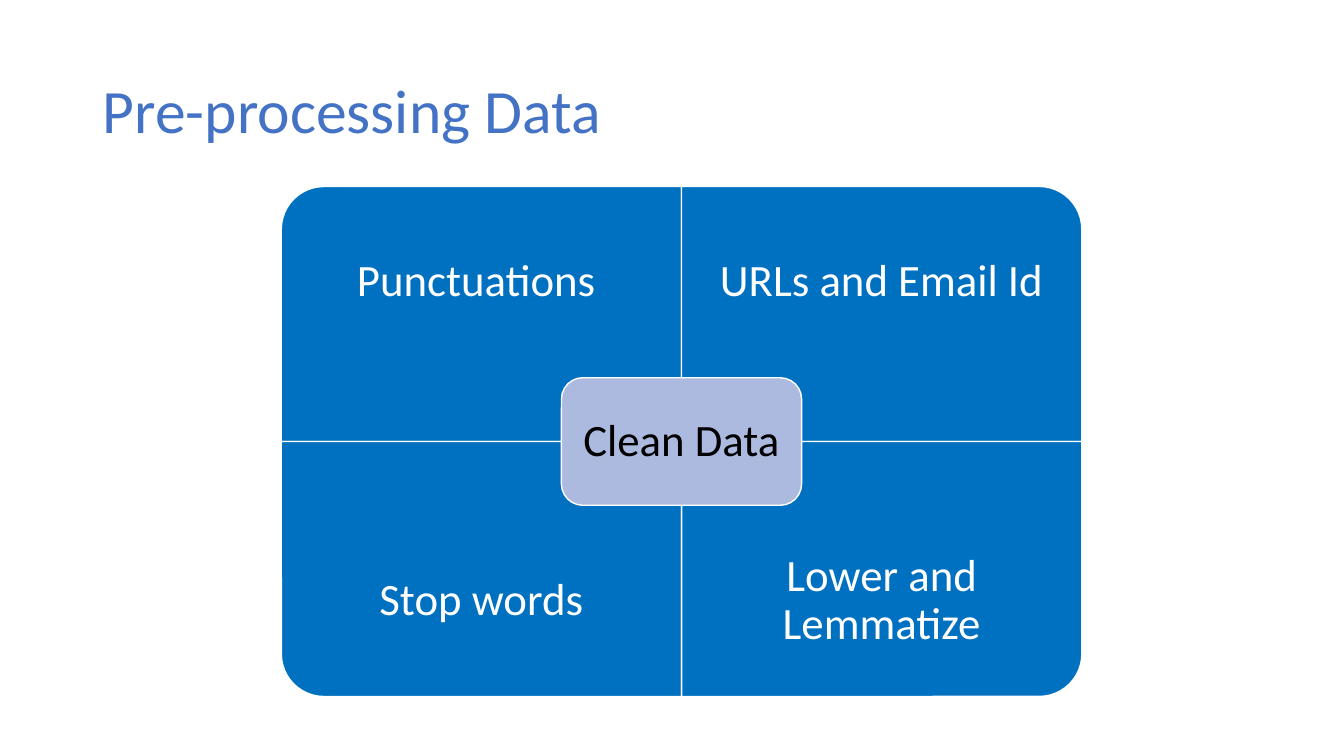
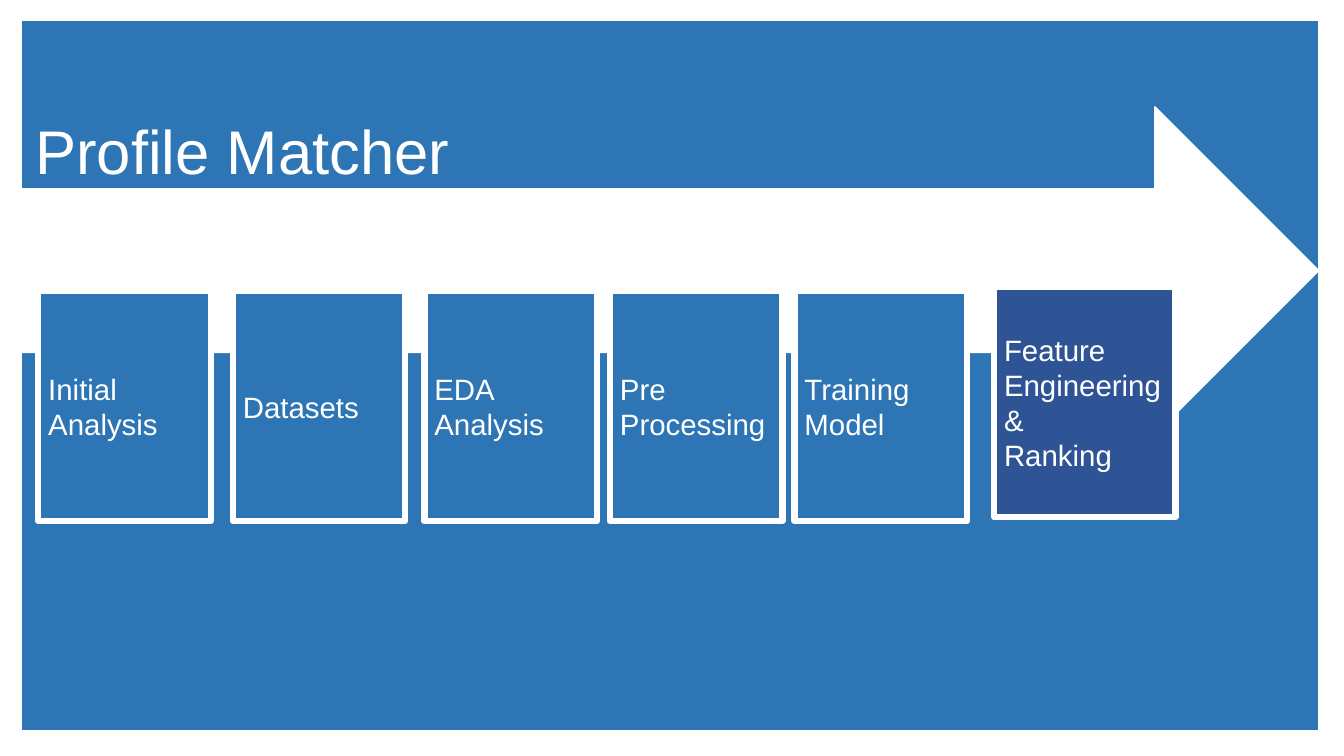
from collections import namedtuple

from pptx import Presentation
from pptx.dml.color import RGBColor
from pptx.enum.shapes import MSO_SHAPE
from pptx.enum.text import MSO_ANCHOR, MSO_AUTO_SIZE, PP_ALIGN
from pptx.util import Inches, Pt

RECT = MSO_SHAPE.RECTANGLE
ROUNDED = MSO_SHAPE.ROUNDED_RECTANGLE
ONE_ROUND = MSO_SHAPE.ROUND_1_RECTANGLE
RIGHT_ARROW = MSO_SHAPE.RIGHT_ARROW
MIDDLE = MSO_ANCHOR.MIDDLE
NO_AUTOFIT = MSO_AUTO_SIZE.NONE
LEFT, CENTER = PP_ALIGN.LEFT, PP_ALIGN.CENTER

WHITE, BLACK = "FFFFFF", "000000"
TITLE_BLUE = "4472C4"
MATRIX_BLUE, HUB_LILAC = "0070C0", "ABBADE"
PANEL_BLUE, LAST_STEP_BLUE = "2E75B5", "2F5496"
TITLE_ONLY = 5
CORNER = 0.167

Box = namedtuple("Box", "left top width height")
TextStyle = namedtuple("TextStyle", "font size color align spacing")


def rgb(hex_color):
    return RGBColor.from_string(hex_color)


def in_inches(box):
    return [Inches(length) for length in box]


def write(shape, lines, style, inset_x=0.1, inset_y=0.05):
    frame = shape.text_frame
    frame.word_wrap = True
    frame.auto_size = NO_AUTOFIT
    frame.vertical_anchor = MIDDLE
    frame.margin_left = frame.margin_right = Inches(inset_x)
    frame.margin_top = frame.margin_bottom = Inches(inset_y)
    for index, line in enumerate(lines):
        para = frame.add_paragraph() if index else frame.paragraphs[0]
        para.alignment = style.align
        para.line_spacing = style.spacing
        span = para.add_run()
        span.text = line
        span.font.name = style.font
        span.font.size = Pt(style.size)
        span.font.color.rgb = rgb(style.color)


def add_panel(page, kind, box, fill, line_width=1):
    """Add a filled shape with the white outline used throughout."""
    shape = page.shapes.add_shape(kind, *in_inches(box))
    shape.shadow.inherit = False
    shape.fill.solid()
    shape.fill.fore_color.rgb = rgb(fill)
    shape.line.color.rgb = rgb(WHITE)
    shape.line.width = Pt(line_width)
    return shape


def add_title(page, text, box, font, color):
    title = page.shapes.title
    title.left, title.top, title.width, title.height = in_inches(box)
    write(title, [text], TextStyle(font, 44, color, LEFT, 0.9))
    # Bring the title in front of everything drawn so far
    page.shapes.element.append(title.element)


def add_quadrant(page, box, rotation, label, label_top, style):
    """Add a quarter of the matrix, turned so its round corner faces out."""
    width, height = box.width, box.height
    if rotation % 180:
        width, height = height, width
    turned = Box(box.left + (box.width - width) / 2,
                 box.top + (box.height - height) / 2, width, height)
    quarter = add_panel(page, ONE_ROUND, turned, MATRIX_BLUE)
    quarter.adjustments[0] = CORNER
    quarter.rotation = rotation
    label_box = Box(box.left, label_top, box.width, box.height * 0.75)
    write(page.shapes.add_textbox(*in_inches(label_box)), [label], style,
          0.25, 0.25)


def add_matrix(page, box, quadrants, hub_label):
    style = TextStyle("Calibri", 32, WHITE, CENTER, 0.9)
    width, height = box.width / 2, box.height / 2
    for index, (label, rotation) in enumerate(quadrants):
        row, column = divmod(index, 2)
        quarter = Box(box.left + column * width, box.top + row * height,
                      width, height)
        label_top = quarter.top + row * height * 0.25
        add_quadrant(page, quarter, rotation, label, label_top, style)
    hub_width, hub_height = box.width * 0.3, box.height * 0.25
    hub_box = Box(box.left + (box.width - hub_width) / 2,
                  box.top + (box.height - hub_height) / 2,
                  hub_width, hub_height)
    hub = add_panel(page, ROUNDED, hub_box, HUB_LILAC)
    hub.adjustments[0] = CORNER
    write(hub, [hub_label], style._replace(color=BLACK), 0.15, 0.15)


def add_step(page, box, lines, fill):
    card = add_panel(page, RECT, box, fill, line_width=4.5)
    write(card, lines, TextStyle("Arial", 21, WHITE, LEFT, 1.0))


def add_steps(page, box, steps):
    """Place step cards at their offsets, with the last one highlighted."""
    for offset, lines in steps[:-1]:
        card = Box(box.left + offset, box.top, 1.71, box.height)
        add_step(page, card, lines, PANEL_BLUE)
    offset, lines = steps[-1]
    last = Box(box.left + offset, box.top - 0.04, 1.8, box.height)
    add_step(page, last, lines, LAST_STEP_BLUE)


def build_preprocessing(page):
    add_title(page, "Pre-processing Data", Box(0.92, 0.4, 11.5, 1.45),
              "Calibri", TITLE_BLUE)
    quadrants = [
        ("Punctuations ", 270),
        ("URLs and Email Id", 0),
        ("Stop words", 180),
        ("Lower and Lemmatize", 90),
    ]
    add_matrix(page, Box(2.79, 1.85, 7.94, 5.06), quadrants, "Clean Data")


def build_profile_matcher(page):
    panel = Box(0.21, 0.2, 12.87, 7.05)
    add_panel(page, RECT, panel, PANEL_BLUE)
    add_panel(page, RIGHT_ARROW,
              Box(panel.left, panel.top + 0.86, panel.width, 3.25), WHITE)
    add_title(page, "Profile Matcher", Box(0.25, 0.91, 11.5, 1.25),
              "Arial", WHITE)
    steps = [
        (0, ["Initial Analysis"]),
        (1.93, ["Datasets"]),
        (3.83, ["EDA Analysis"]),
        (5.67, ["Pre", "Processing"]),
        (7.5, ["Training Model"]),
        (9.48, ["Feature Engineering &", "Ranking"]),
    ]
    add_steps(page, Box(0.38, 2.89, 11.28, 2.28), steps)


def main():
    deck = Presentation()
    deck.slide_width, deck.slide_height = Inches(13.33), Inches(7.5)
    for build in (build_preprocessing, build_profile_matcher):
        build(deck.slides.add_slide(deck.slide_layouts[TITLE_ONLY]))
    deck.save("out.pptx")


if __name__ == "__main__":
    main()
